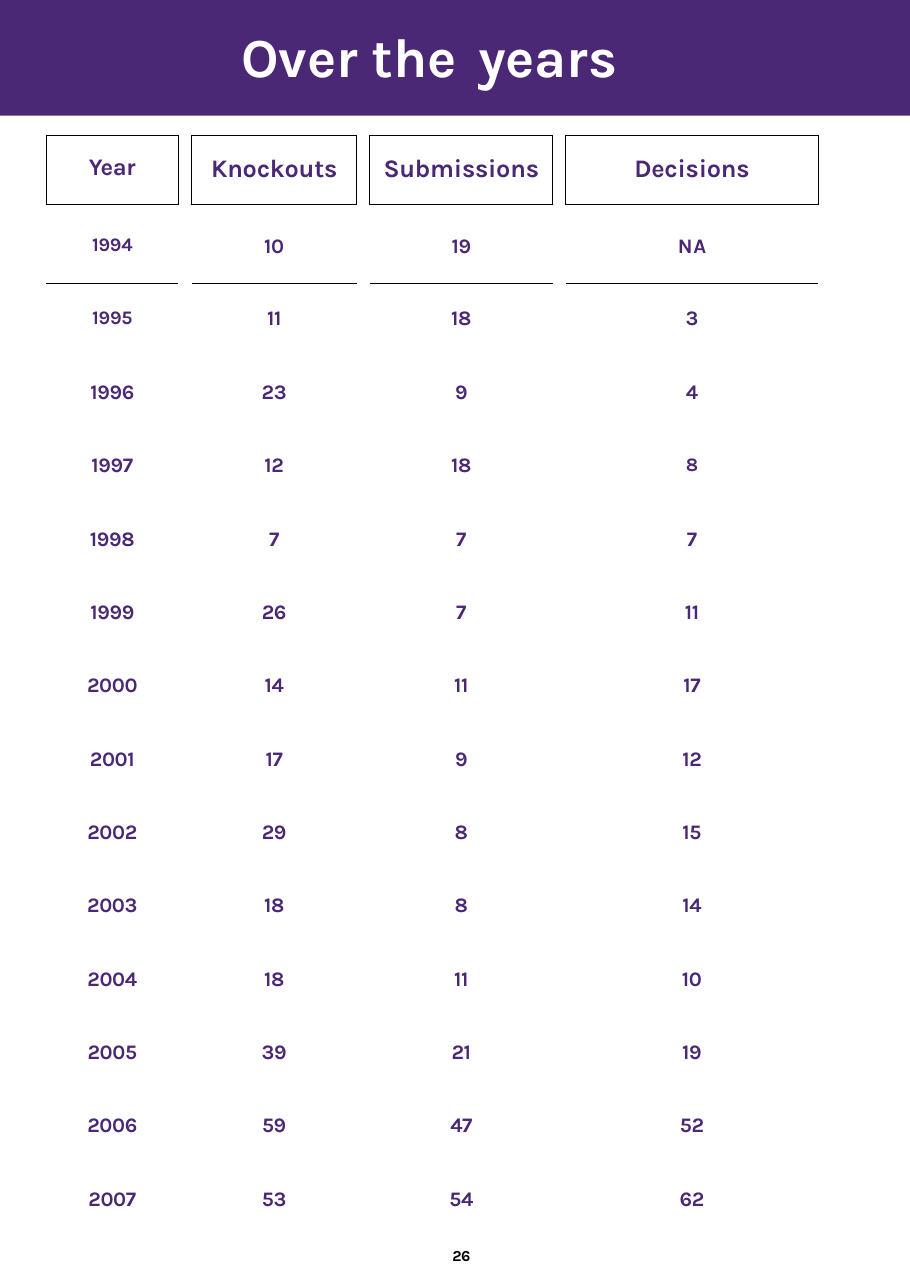
"""Build the yearly table of knockouts, submissions and decisions."""
from lxml.etree import SubElement
from pptx import Presentation
from pptx.dml.color import RGBColor
from pptx.enum.shapes import MSO_SHAPE as Shape
from pptx.enum.text import PP_ALIGN as Align
from pptx.oxml.ns import qn
from pptx.util import Inches, Pt

COLORS = {"purple": "4A2875", "white": "FFFFFF", "black": "000000"}
PLAIN_TABLE = "{2D5ABB26-0587-4C30-8999-92F81FD0307C}"
HEADINGS = ["Year", "Knockouts", "Submissions", "Decisions"]
RESULTS = [
    ("1994", "10", "19", "NA"), ("1995", "11", "18", "3"),
    ("1996", "23", "9", "4"), ("1997", "12", "18", "8"),
    ("1998", "7", "7", "7"), ("1999", "26", "7", "11"),
    ("2000", "14", "11", "17"), ("2001", "17", "9", "12"),
    ("2002", "29", "8", "15"), ("2003", "18", "8", "14"),
    ("2004", "18", "11", "10"), ("2005", "39", "21", "19"),
    ("2006", "59", "47", "52"), ("2007", "53", "54", "62"),
]
PAGE_NUMBER = ["", "", "26", ""]
SMALLER = {(1, 0), (2, 0), (4, 3)}
TRACKING = {"NA": 50, "Year": -20, **dict.fromkeys(HEADINGS[1:], -10)}


def write(paragraph, text, size, color, tracking):
    run = paragraph.add_run()
    run.text = text
    for key, value in {"size": Pt(size), "name": "Karla", "bold": True}.items():
        setattr(run.font, key, value)
    run.font.color.rgb = RGBColor.from_string(COLORS[color])
    run._r.get_or_add_rPr().set("spc", str(tracking))


def rule_edges(cell, edges):
    for edge in edges:
        line = SubElement(cell._tc.get_or_add_tcPr(), qn(f"a:ln{edge}"), w=str(Pt(0.75)))
        fill = SubElement(line, qn("a:solidFill"))
        SubElement(fill, qn("a:srgbClr"), val=COLORS["black"])


deck = Presentation()
deck.slide_width, deck.slide_height = Pt(595), Pt(842.5)
slide = deck.slides.add_slide(deck.slide_layouts[6])

row_heights = [0.63, 0.72] + [8 / 12] * 12 + [0.62, 0.34]
column_widths = [1.2, 0.12, 1.5, 0.12, 1.66, 0.12, 2.29]
frame = slide.shapes.add_table(
    len(row_heights), len(column_widths), Inches(0.42), Inches(1.23),
    Inches(sum(column_widths)), Inches(sum(row_heights)))
results_table = frame.table
results_table.first_row = results_table.horz_banding = False
results_table._tbl.tblPr.find(qn("a:tableStyleId")).text = PLAIN_TABLE
for row, height in zip(results_table.rows, row_heights):
    row.height = Inches(height)
for column, width in zip(results_table.columns, column_widths):
    column.width = Inches(width)

lines = [HEADINGS, *RESULTS, PAGE_NUMBER]
last = len(lines) - 1
top_margins = {0: 0.17, 1: 0.27, last: 0.14}
text_sizes = {0: 16.5, last: 10}
data_edges = {0: "LRTB", 1: "T"}
gap_edges = {0: "LR"}
for row_index, values in enumerate(lines):
    for column_index in range(len(column_widths)):
        cell = results_table.cell(row_index, column_index)
        field, is_gap = divmod(column_index, 2)
        text = "" if is_gap else values[field]
        rule_edges(cell, (gap_edges if is_gap else data_edges).get(row_index, ""))
        cell.fill.background()
        margins = {"margin_left": 0, "margin_right": 0, "margin_bottom": 0,
                   "margin_top": Inches(top_margins.get(row_index, 0.21) if text else 0)}
        for key, value in margins.items():
            setattr(cell, key, value)
        if text:
            size = text_sizes.get(row_index, 13.5)
            if text == "Year" or (row_index, field) in SMALLER:
                size -= 1
            paragraph = cell.text_frame.paragraphs[0]
            paragraph.alignment = Align.CENTER
            write(paragraph, text, size, "black" if row_index == last else "purple",
                  TRACKING.get(text, -50 if len(text) == 1 else -20))

banner = slide.shapes.add_shape(Shape.RECTANGLE, 0, 0, deck.slide_width, Inches(1.05))
banner.shadow.inherit = False
banner.fill.solid()
banner.fill.fore_color.rgb = RGBColor.from_string(COLORS["purple"])
banner.line.fill.background()

title = slide.shapes.add_textbox(
    Inches(2.18), Inches(0.18), Inches(3.48), Inches(0.63)).text_frame
title_format = {"margin_left": Inches(0.01), "margin_top": Inches(0.02),
                "margin_right": 0, "margin_bottom": 0, "word_wrap": True}
for key, value in title_format.items():
    setattr(title, key, value)
for words, tracking in (("Over the", 0), (" ", 450), ("years", -10)):
    write(title.paragraphs[0], words, 36, "white", tracking)

deck.save("out.pptx")
